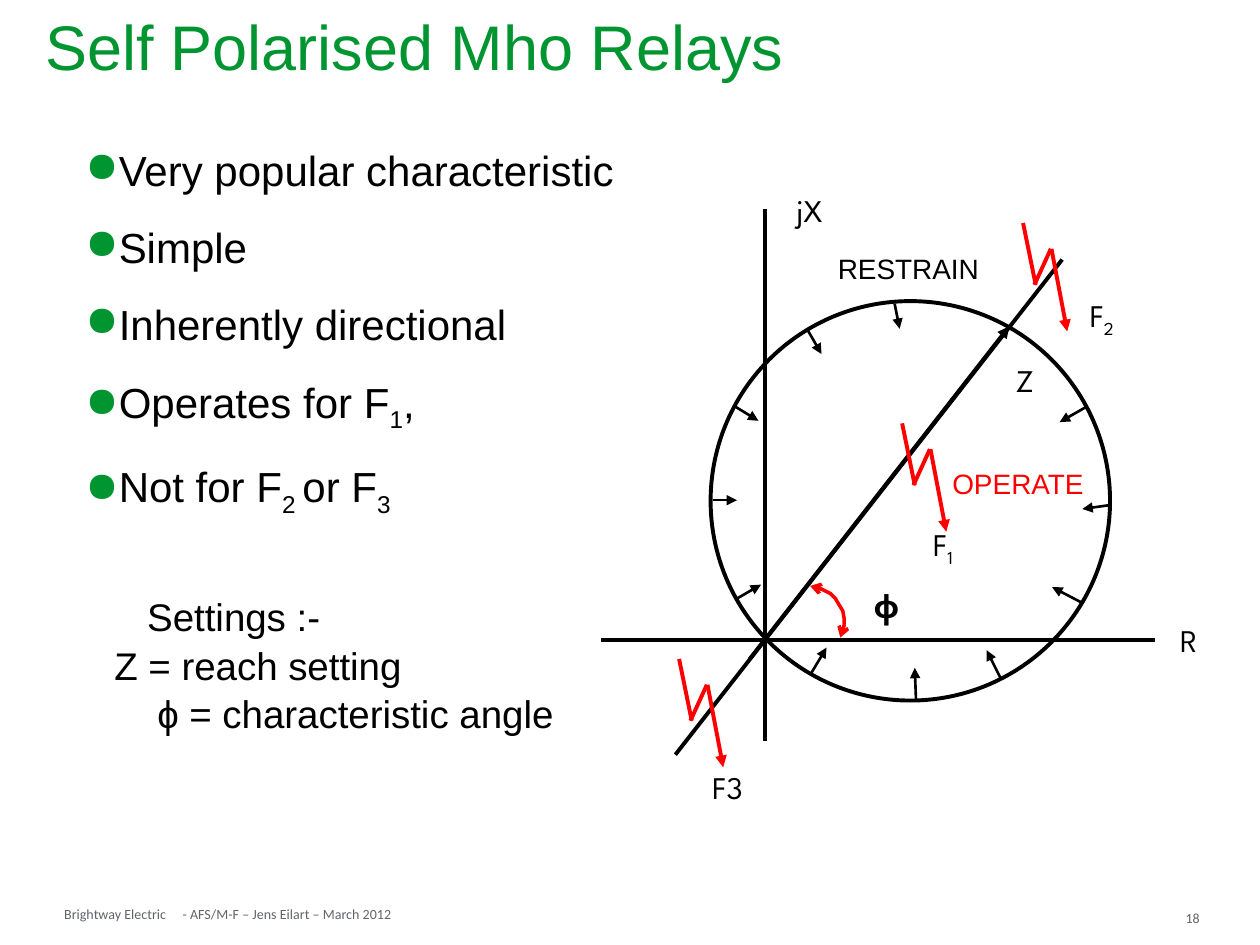
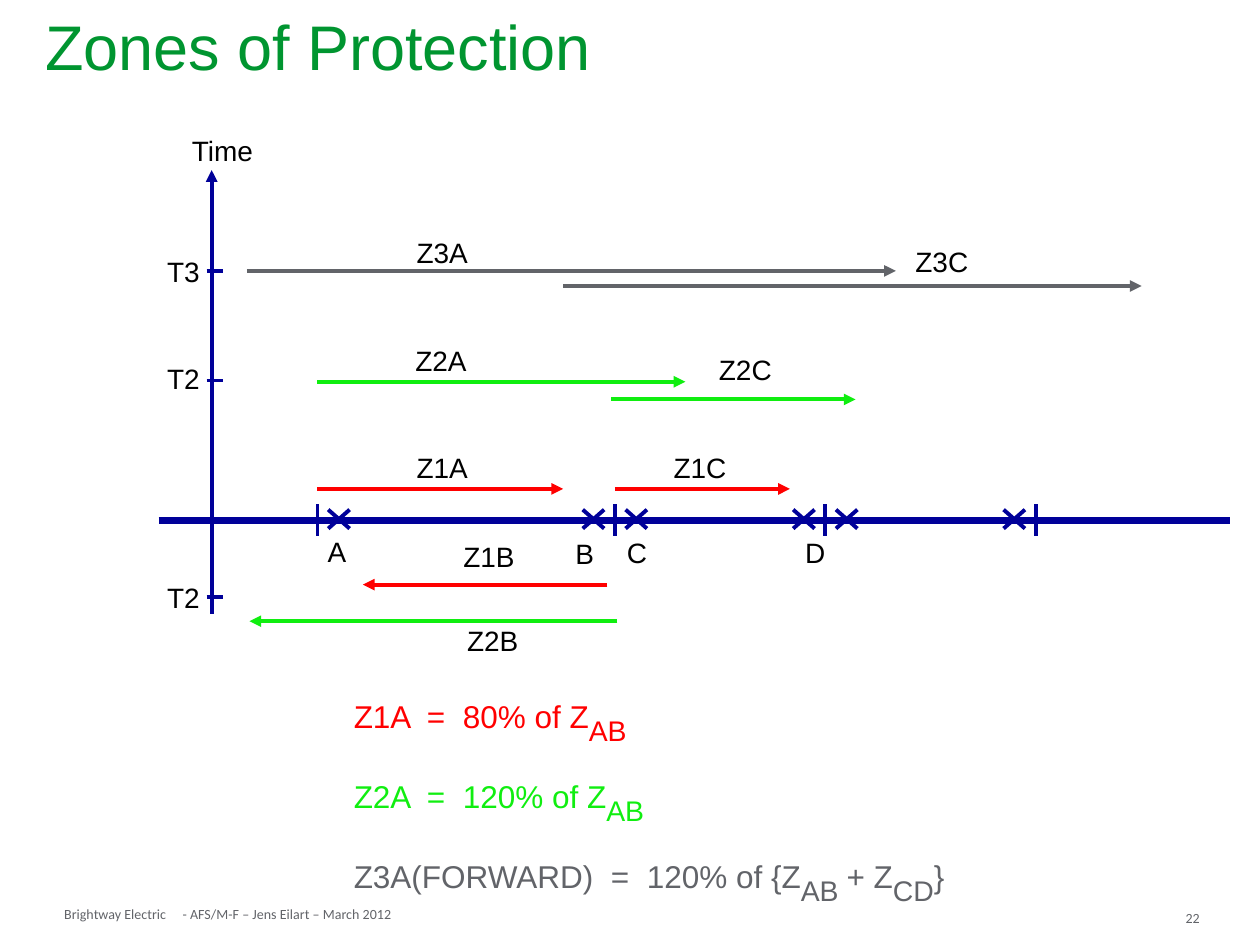
"""Builds two slides on distance protection: the mho relay and its zones."""
from typing import NamedTuple, Optional

from lxml.etree import SubElement
from pptx import Presentation
from pptx.dml.color import RGBColor
from pptx.enum.shapes import MSO_CONNECTOR, MSO_SHAPE
from pptx.enum.text import MSO_ANCHOR, PP_ALIGN
from pptx.oxml.ns import qn
from pptx.util import Inches, Pt

COLORS = {
    "title": "009530", "ink": "000000", "footer": "626469",
    "zone1": "FF0000", "zone2": "10EE10", "zone3": "626469", "axis": "000099",
}
WIDTH, HEIGHT = Inches(10), Inches(7.5)
COLUMN, ROW = WIDTH // 100, HEIGHT // 75
SYMBOL = {"font": "League Spartan", "size": 18, "align": PP_ALIGN.CENTER}
CAPTION = {"size": 16, "align": PP_ALIGN.CENTER}


class Spot(NamedTuple):
    left: float
    top: float
    width: float
    height: float


class Stroke(NamedTuple):
    x1: float
    y1: float
    x2: float
    y2: float
    color: str = "ink"
    weight: float = 2.25
    tail: Optional[str] = None


class Label(NamedTuple):
    text: str
    center: float
    top: float


BULLETS = ["Very popular characteristic", "Simple", "Inherently directional",
           "Operates for F_1_,", "Not for F_2 _or F_3_"]
SETTINGS = [("Settings :-", 3.4), ("Z = reach setting", 0.8),
            ("ϕ = characteristic angle", 4.2)]
IMPEDANCE_LINES = [
    Stroke(60.7, 16.6, 60.7, 58.8),
    Stroke(47.7, 50.8, 91.7, 50.8),
    Stroke(53.6, 59.9, 84.3, 20.6),
    Stroke(59.5, 52.3, 80.1, 25.9, tail="triangle"),
]
INWARD_ARROWS = [
    (64.1, 26.2, 65.2, 28.1), (58.4, 32.3, 60.2, 33.4), (58.5, 47.5, 60.4, 46.4),
    (86.2, 32.3, 84.1, 33.5), (85.8, 47.8, 83.5, 46.6), (64.4, 53.4, 65.6, 51.4),
    (79.4, 53.8, 78.3, 51.6), (71, 24.1, 71.4, 26.1), (56.6, 39.7, 58.5, 39.7),
    (88, 40.1, 85.9, 40.4), (72.7, 55.5, 72.6, 53),
]
ANGLE_ARC = [(66.7, 50.6), (66.9, 50.1), (67, 49.6), (67, 49.1), (66.9, 48.5),
             (66.6, 48), (66.3, 47.5), (65.9, 47.1), (65.5, 46.9), (65.1, 46.7),
             (64.6, 46.5), (64.3, 46.5)]
FAULT_BOLT = [Stroke(0.9, 4.9, 2.2, 2.05, "zone1"), Stroke(0, 0, 1, 4.9, "zone1"),
              Stroke(2.25, 2.05, 3.5, 8.6, "zone1", tail="triangle")]
FAULT_PLACES = [(71.6, 33.6), (53.9, 52.3), (81.2, 17.7)]
DIAGRAM_SYMBOLS = [
    Label("jX", 64.25, 14.7), Label("R", 94.35, 48.8), Label("F3", 57.75, 60.5),
    Label("F_1_", 74.85, 41.2), Label("Z", 81.35, 28.2), Label("F_2_", 87.45, 23),
]

ZONE_REACHES = [
    Stroke(19.6, 21.5, 71.1, 21.5, "zone3"), Stroke(44.7, 22.7, 90.6, 22.7, "zone3"),
    Stroke(25.2, 30.3, 54.4, 30.3, "zone2"), Stroke(48.5, 31.7, 67.9, 31.7, "zone2"),
    Stroke(25.2, 38.8, 44.7, 38.8, "zone1"), Stroke(48.8, 38.8, 62.7, 38.8, "zone1"),
    Stroke(48.2, 46.4, 28.8, 46.4, "zone1"), Stroke(49, 49.3, 19.8, 49.3, "zone2"),
]
ZONE_LABELS = [
    Label("Time", 17.65, 10.5), Label("T3", 14.55, 20.1), Label("T2", 14.55, 28.6),
    Label("T2", 14.55, 46), Label("Z3A", 35.1, 18.6), Label("Z3C", 74.75, 19.3),
    Label("Z2A", 35, 27.2), Label("Z2C", 59.15, 27.9), Label("Z1A", 35.1, 35.7),
    Label("Z1C", 55.55, 35.7), Label("Z1B", 38.8, 42.7), Label("Z2B", 39.1, 49.4),
    Label("A", 26.75, 42.3), Label("B", 46.4, 42.5), Label("C", 50.55, 42.4),
    Label("D", 64.7, 42.4),
]
TIME_TICKS = [21.5, 30.2, 47.4]
LINE_ROW = 41.3
BREAKER_GAP = 1.7
BUSBARS = {25.2: (1,), 48.8: (-1, 1), 65.5: (-1, 1), 82.2: (-1,)}
FORMULAS = [
    ("Z1A\t=\t80% of Z_AB_", "zone1", (5.8, 8.65)),
    ("Z2A\t=\t120% of Z_AB_", "zone2", (5.8, 8.65)),
    ("Z3A(FORWARD)\t=\t120% of {Z_AB _+ Z_CD_}", "zone3", (20.4, 23.25)),
]


def rgb(name: str) -> RGBColor:
    """Look up a colour of the palette."""
    return RGBColor.from_string(COLORS[name])


def add_frame(page, spot: Spot, inset=(1, 0.5), anchor=MSO_ANCHOR.TOP):
    """Add an empty wrapping text box and return its text frame."""
    box = page.shapes.add_textbox(
        round(spot.left * COLUMN), round(spot.top * ROW),
        round(spot.width * COLUMN), round(spot.height * ROW))
    frame = box.text_frame
    frame.word_wrap = True
    frame.vertical_anchor = anchor
    frame.margin_left = frame.margin_right = round(inset[0] * COLUMN)
    frame.margin_top = frame.margin_bottom = round(inset[1] * ROW)
    return frame


def add_para(frame, text: str, *, size=18, color="ink", font="Arial", bold=False,
             align=PP_ALIGN.LEFT, spacing=None, before=0, after=0, indent=0,
             bullet=None, tabs=(), sub_size=None) -> None:
    """Write one paragraph; text between underscores is set as subscript."""
    first = not frame.paragraphs[0].runs
    para = frame.paragraphs[0] if first else frame.add_paragraph()
    props = para._p.get_or_add_pPr()
    if indent:
        props.set("marL", str(round(indent * COLUMN)))
    if bullet:
        props.set("indent", str(round(-indent * COLUMN)))
        tint = SubElement(props, qn("a:buClr"))
        SubElement(tint, qn("a:srgbClr"), val=COLORS["title"])
        SubElement(props, qn("a:buChar"), char=bullet)
    if tabs:
        stops = SubElement(props, qn("a:tabLst"))
        for stop in tabs:
            SubElement(stops, qn("a:tab"), pos=str(round(stop * COLUMN)), algn="l")
    para.alignment = align
    para.space_before = Pt(0 if first else before)
    para.space_after = Pt(after)
    if spacing:
        para.line_spacing = spacing
    for index, piece in enumerate(text.split("_")):
        if not piece:
            continue
        lowered = index % 2 == 1
        span = para.add_run()
        span.text = piece
        span.font.name = font
        span.font.size = Pt(sub_size if lowered and sub_size else size)
        span.font.bold = bold
        span.font.color.rgb = rgb(color)
        if lowered:
            span._r.get_or_add_rPr().set("baseline", "-25000")


def add_label(page, label: Label, width: float, inset, **style) -> None:
    """Write a one-line label centred on a column."""
    spot = Spot(label.center - width / 2, label.top, width, 4)
    add_para(add_frame(page, spot, inset), label.text, **style)


def style_line(shape, color: str, weight: float, **ends: Optional[str]) -> None:
    """Set colour, weight and arrowheads of an outline."""
    shape.line.color.rgb = rgb(color)
    shape.line.width = Pt(weight)
    for end, kind in ends.items():
        if kind:
            SubElement(shape.line._get_or_add_ln(), qn(f"a:{end}End"), type=kind)


def draw_stroke(page, stroke: Stroke, dx: float = 0, dy: float = 0) -> None:
    """Draw a straight line, moved by the given columns and rows."""
    line = page.shapes.add_connector(
        MSO_CONNECTOR.STRAIGHT,
        round((stroke.x1 + dx) * COLUMN), round((stroke.y1 + dy) * ROW),
        round((stroke.x2 + dx) * COLUMN), round((stroke.y2 + dy) * ROW))
    style_line(line, stroke.color, stroke.weight, tail=stroke.tail)
    SubElement(line._element.spPr, qn("a:effectLst"))


def add_page(deck, title: str, number: int):
    """Add a blank page with title, footer and page number."""
    page = deck.slides.add_slide(deck.slide_layouts[6])
    footers = [("Brightway Electric", Spot(5.1, 71.9, 9.3, 1.3)),
               ("- AFS/M-F – Jens Eilart – March 2012", Spot(14.5, 71.9, 25, 1.3)),
               (str(number), Spot(94.1, 72.2, 3.2, 0.8))]
    for text, spot in footers:
        add_para(add_frame(page, spot, (0, 0)), text, size=8, font="Calibri",
                 color="footer")
    heading = add_frame(page, Spot(2.6, 0.8, 94.4, 6.4), anchor=MSO_ANCHOR.MIDDLE)
    add_para(heading, title, size=36, color="title", spacing=0.9)
    return page


def build_mho_page(deck) -> None:
    """Build the page with the mho circle."""
    page = add_page(deck, "Self Polarised Mho Relays", 18)
    body = add_frame(page, Spot(5.8, 10.6, 61.4, 35.3))
    for text in BULLETS:
        add_para(body, text, size=24, spacing=1.1, before=12.3, indent=2, bullet="●")
    settings = add_frame(page, Spot(7.3, 46.4, 42.7, 12.1))
    for text, indent in SETTINGS:
        add_para(settings, text, size=22, spacing=1.05, indent=indent)

    for stroke in IMPEDANCE_LINES:
        draw_stroke(page, stroke)
    circle = page.shapes.add_shape(
        MSO_SHAPE.OVAL, round(56.4 * COLUMN), round(23.9 * ROW),
        round(31.7 * COLUMN), round(31.7 * ROW))
    circle.shadow.inherit = False
    circle.fill.background()
    style_line(circle, "ink", 2.25)
    for ends in INWARD_ARROWS:
        draw_stroke(page, Stroke(*ends, weight=1.5, tail="triangle"))

    points = [(round(x * COLUMN), round(y * ROW)) for x, y in ANGLE_ARC]
    builder = page.shapes.build_freeform(*points[0])
    builder.add_line_segments(points[1:], close=False)
    arc = builder.convert_to_shape()
    arc.shadow.inherit = False
    arc.fill.background()
    style_line(arc, "zone1", 2, head="arrow", tail="arrow")

    for place in FAULT_PLACES:
        for stroke in FAULT_BOLT:
            draw_stroke(page, stroke, *place)
    for label in DIAGRAM_SYMBOLS:
        add_label(page, label, 5.7, (1, 0.5), **SYMBOL)
    add_label(page, Label("ϕ", 70.35, 46.1), 5.7, (1, 0.5), bold=True, **SYMBOL)
    add_label(page, Label("OPERATE", 80.8, 36.5), 14, (1, 0.5), color="zone1", **CAPTION)
    add_label(page, Label("RESTRAIN", 72.1, 19.5), 14, (1, 0.5), **CAPTION)


def build_zones_page(deck) -> None:
    """Build the page with the time-distance zones."""
    page = add_page(deck, "Zones of Protection", 22)
    for label in ZONE_LABELS:
        add_label(page, label, 6.2, (0.1, 0.1), **CAPTION)
    draw_stroke(page, Stroke(16.8, 48.7, 16.8, 13.5, "axis", tail="triangle"))
    for row in TIME_TICKS:
        draw_stroke(page, Stroke(16.4, row, 17.7, row, "axis"))
    for reach in ZONE_REACHES:
        draw_stroke(page, reach._replace(tail="triangle"))
    draw_stroke(page, Stroke(12.6, LINE_ROW, 97.6, LINE_ROW, "axis", 4))
    for column, sides in BUSBARS.items():
        draw_stroke(page, Stroke(column, 42.5, column, 40, "axis"))
        for side in sides:
            for slope in (-1, 1):
                draw_stroke(page, Stroke(-0.85, -0.75 * slope, 0.85, 0.75 * slope, "axis"),
                            column + side * BREAKER_GAP, LINE_ROW - 0.1)
    formulas = add_frame(page, Spot(27.1, 53.2, 52, 18))
    for text, color, tabs in FORMULAS:
        add_para(formulas, text, color=color, tabs=tabs, sub_size=28,
                 spacing=1.05, after=5.6)


def main() -> None:
    """Build and save the deck."""
    deck = Presentation()
    deck.slide_width, deck.slide_height = WIDTH, HEIGHT
    build_mho_page(deck)
    build_zones_page(deck)
    deck.save("out.pptx")


if __name__ == "__main__":
    main()
